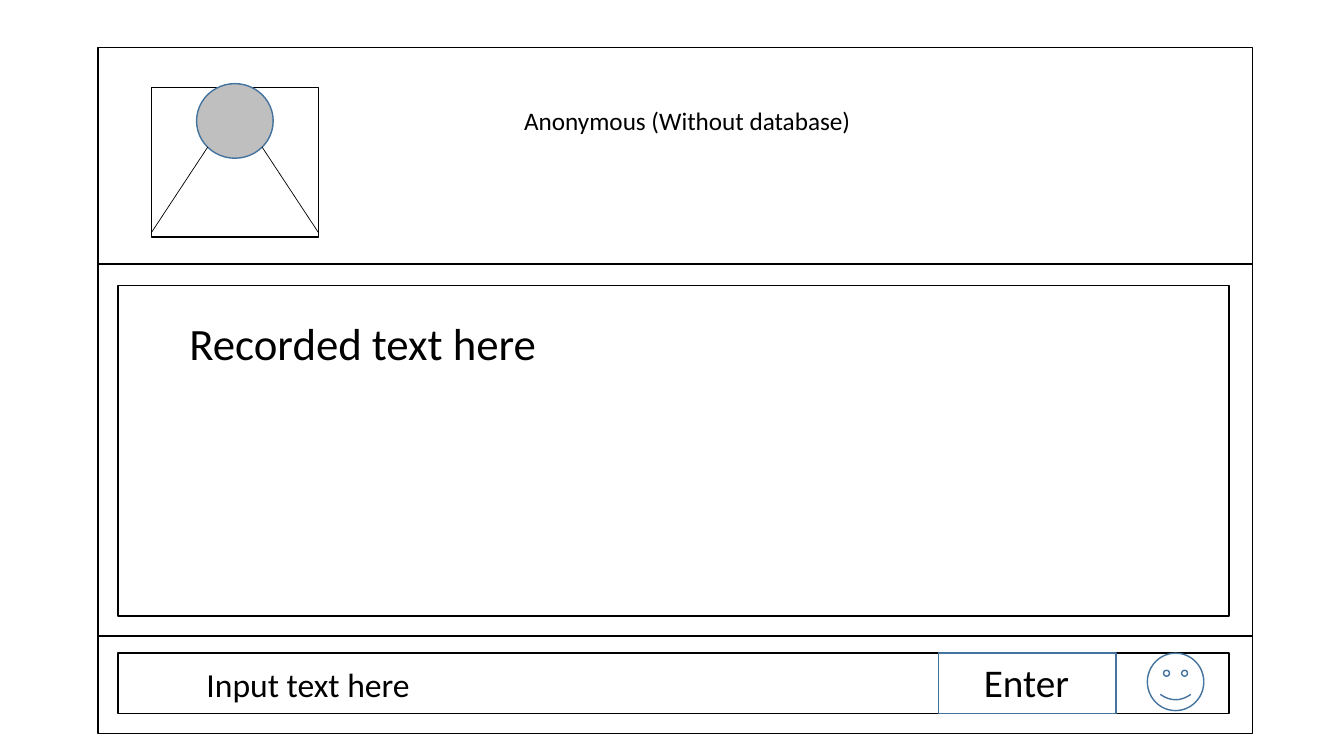
from pptx import Presentation
from pptx.dml.color import RGBColor
from pptx.enum.shapes import MSO_CONNECTOR, MSO_SHAPE
from pptx.enum.text import MSO_AUTO_SIZE
from pptx.oxml.ns import qn
from pptx.util import Inches, Pt
from lxml import etree

RECT = MSO_SHAPE.RECTANGLE
OVAL = MSO_SHAPE.OVAL
SMILEY = MSO_SHAPE.SMILEY_FACE
STRAIGHT = MSO_CONNECTOR.STRAIGHT
FIT_SHAPE = MSO_AUTO_SIZE.SHAPE_TO_FIT_TEXT

BLACK, WHITE, GREY, BLUE = "000000", "FFFFFF", "BFBFBF", "43739E"


def rgb(value):
    return RGBColor.from_string(value)


def write(tf, text, size=18, color=BLACK, font="Calibri", wrap=True):
    tf.word_wrap = wrap
    tf.auto_size = FIT_SHAPE
    r = tf.paragraphs[0].add_run()
    r.text = text
    r.font.size = Pt(size)
    r.font.name = font
    r.font.color.rgb = rgb(color)


class Wireframe:
    """Draws the elements of a screen mock-up on one slide."""

    def __init__(self, slide):
        self.shapes = slide.shapes

    def shape(self, kind, left, top, width, height, line=BLACK, fill=None):
        sp = self.shapes.add_shape(
            kind, Inches(left), Inches(top), Inches(width), Inches(height))
        sp.shadow.inherit = False
        if fill:
            sp.fill.solid()
            sp.fill.fore_color.rgb = rgb(fill)
        else:
            sp.fill.background()
        sp.line.color.rgb = rgb(line)
        sp.line.width = Pt(1)

    def line(self, x1, y1, x2, y2):
        cxn = self.shapes.add_connector(
            STRAIGHT, Inches(x1), Inches(y1), Inches(x2), Inches(y2))
        cxn.line.color.rgb = rgb(BLACK)
        cxn.line.width = Pt(0.5)
        etree.SubElement(cxn._element.spPr, qn("a:effectLst"))

    def text(self, text, left, top, width, height, **style):
        box = self.shapes.add_textbox(
            Inches(left), Inches(top), Inches(width), Inches(height))
        write(box.text_frame, text, **style)


def main():
    prs = Presentation()
    prs.slide_width, prs.slide_height = Inches(13.33), Inches(7.5)
    s = prs.slides.add_slide(prs.slide_layouts[6])
    ui = Wireframe(s)

    frame_x, frame_w = 0.97, 11.45
    panel_x, panel_w = 1.17, 11.02
    input_y, input_h = 6.48, 0.6
    enter_x = 9.31

    ui.shape(RECT, frame_x, 0.47, frame_w, 6.81)

    # Avatar
    ui.shape(RECT, 1.5, 0.87, 1.66, 1.48, fill=WHITE)
    ui.shape(OVAL, 1.95, 0.83, 0.76, 0.74, line=BLUE, fill=GREY)
    for neck_x, shoulder_x in ((2.06, 1.5), (2.6, 3.16)):
        ui.line(neck_x, 1.46, shoulder_x, 2.31)

    # Conversation
    ui.shape(RECT, frame_x, 2.62, frame_w, 3.69)
    ui.shape(RECT, panel_x, 2.83, panel_w, 3.28)
    ui.text("Recorded text here", 1.78, 3.08, 3.91, 0.64, size=32)

    # Input bar
    ui.shape(RECT, panel_x, input_y, panel_w, input_h)
    ui.line(enter_x, input_y, enter_x, input_y + input_h)
    ui.shape(RECT, enter_x, input_y, 1.76, input_h, line=BLUE)
    ui.text("Enter", 9.66, input_y, 1.31, 0.57, size=28)
    ui.shape(SMILEY, 11.38, input_y, 0.56, 0.57, line=BLUE)

    ui.text("Anonymous (Without database)", 5.1, 1, 3.6, 0.4, wrap=False)
    ui.text("Input text here", 1.95, 6.54, 2.24, 0.5, size=24, wrap=False)

    prs.save("out.pptx")


if __name__ == "__main__":
    main()
